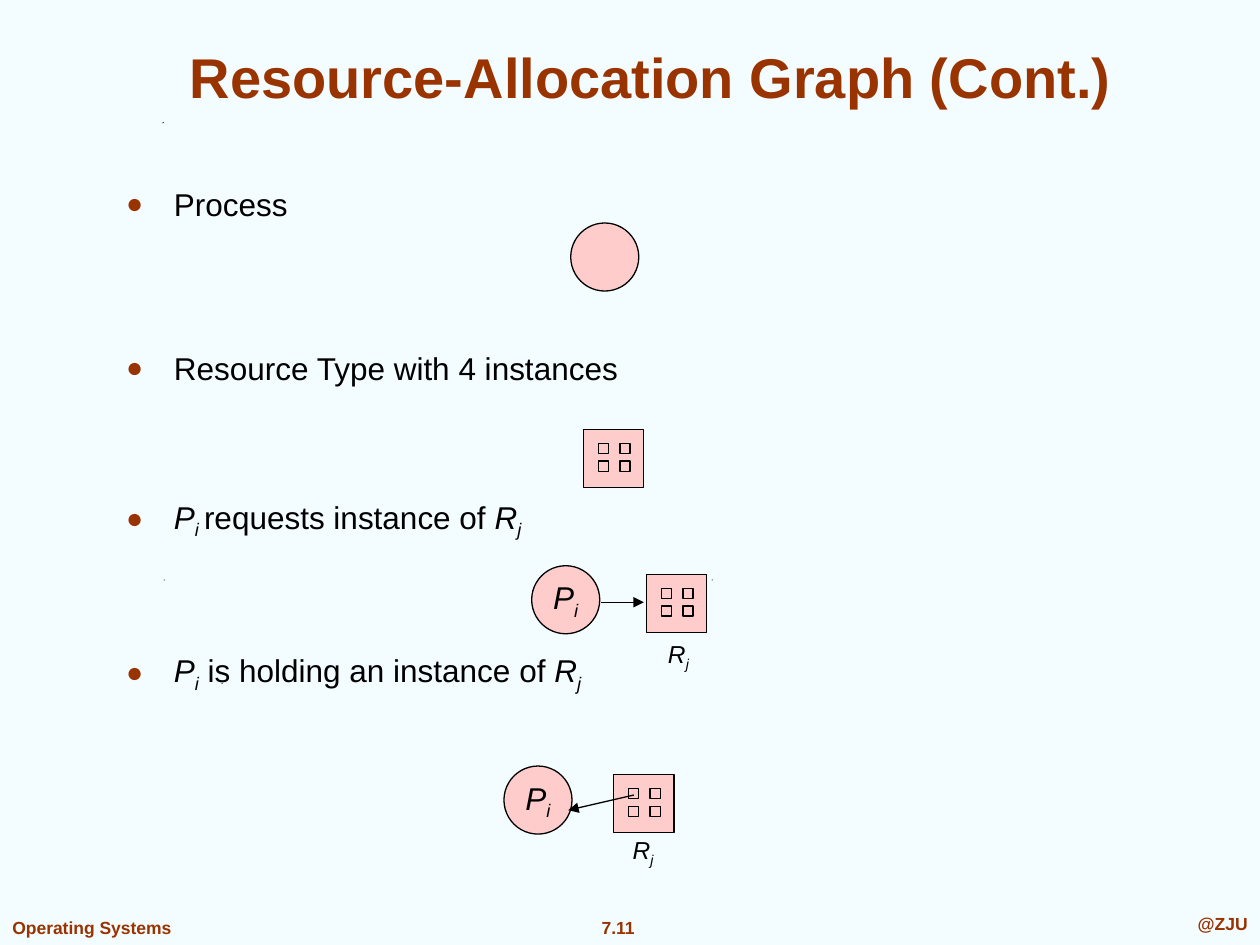
"""Build the resource-allocation graph legend slide."""
import pptx
import pptx.util
import pptx.dml.color
import pptx.enum.shapes
import pptx.enum.text
import pptx.oxml.ns
import lxml.etree

Inches, Pt = pptx.util.Inches, pptx.util.Pt
SHAPE = pptx.enum.shapes.MSO_SHAPE
ALIGN = pptx.enum.text.PP_ALIGN
ANCHOR = pptx.enum.text.MSO_ANCHOR
COLORS = {"background": "F3FCFF", "accent": "993300", "node": "FFCCCC", "ink": "000000"}
FONT = "Arial"
PROCESS = [("P", "italic"), ("i", "sub")]
RESOURCE = [("R", "italic"), ("j", "sub")]


def rgb(name):
    return pptx.dml.color.RGBColor.from_string(COLORS[name])


def add_xml(parent, tag, **attrs):
    return lxml.etree.SubElement(parent, pptx.oxml.ns.qn(tag), attrs)


class SlideBuilder:
    """Hold the style and the current slide, and add elements to it."""

    def __init__(self, prs):
        self.s = prs.slides.add_slide(prs.slide_layouts[1])
        fill = self.s.background.fill
        fill.solid()
        fill.fore_color.rgb = rgb("background")

    def runs(self, p, parts, size, color="ink", bold=False):
        for text, style in parts:
            r = p.add_run()
            r.text = text
            r.font.name, r.font.size = FONT, Pt(size)
            r.font.bold, r.font.italic = bold, style in ("italic", "sub")
            r.font.color.rgb = rgb(color)
            if style == "sub":
                r._r.get_or_add_rPr().set("baseline", "-25000")

    def place(self, sp, x, y, w, h):
        sp.left, sp.top, sp.width, sp.height = map(Inches, (x, y, w, h))
        sp.text_frame.auto_size = pptx.enum.text.MSO_AUTO_SIZE.NONE

    def title(self, text, *box):
        sp = self.s.shapes.title
        self.place(sp, *box)
        sp.text_frame.vertical_anchor = ANCHOR.BOTTOM
        p = sp.text_frame.paragraphs[0]
        p.alignment = ALIGN.CENTER
        self.runs(p, [(text, "")], 32, "accent", True)

    def bullets(self, items, *box):
        sp = self.s.placeholders[1]
        self.place(sp, *box)
        tf = sp.text_frame
        for i, (gap, parts) in enumerate(items):
            p = tf.add_paragraph() if i else tf.paragraphs[0]
            p.space_before = Pt(gap)
            pPr = p._p.get_or_add_pPr()
            pPr.set("marL", str(Inches(0.38)))
            pPr.set("indent", str(Inches(-0.38)))
            add_xml(add_xml(pPr, "a:buClr"), "a:srgbClr", val=COLORS["accent"])
            add_xml(pPr, "a:buSzPct", val="90000")
            add_xml(pPr, "a:buFont", typeface=FONT)
            add_xml(pPr, "a:buChar", char="●")
            self.runs(p, parts, 18)

    def label(self, parts, x, y, w, h, size, align=ALIGN.CENTER, wrap=False, **style):
        sp = self.s.shapes.add_textbox(Inches(x), Inches(y), Inches(w), Inches(h))
        sp.text_frame.word_wrap = wrap
        p = sp.text_frame.paragraphs[0]
        p.alignment = align
        self.runs(p, parts, size, **style)

    def node(self, shapes, kind, x, y, w, h):
        sp = shapes.add_shape(kind, Inches(x), Inches(y), Inches(w), Inches(h))
        sp.shadow.inherit = False
        sp.fill.solid()
        sp.fill.fore_color.rgb = rgb("node")
        sp.line.color.rgb = rgb("ink")
        sp.line.width = Pt(0.75)
        return sp

    def process(self, x, y, parts=()):
        tf = self.node(self.s.shapes, SHAPE.OVAL, x, y, 0.54, 0.54).text_frame
        tf.word_wrap = False
        tf.vertical_anchor = ANCHOR.MIDDLE
        tf.paragraphs[0].alignment = ALIGN.CENTER
        self.runs(tf.paragraphs[0], parts, 18)

    def resource(self, x, y):
        shapes = self.s.shapes.add_group_shape().shapes
        self.node(shapes, SHAPE.RECTANGLE, x, y, 0.48, 0.46)
        for row in range(2):
            for col in range(2):
                self.node(shapes, SHAPE.RECTANGLE, x + 0.12 + 0.17 * col,
                          y + 0.11 + 0.14 * row, 0.08, 0.08)

    def arrow(self, x1, y1, x2, y2):
        sp = self.s.shapes.add_connector(pptx.enum.shapes.MSO_CONNECTOR.STRAIGHT,
                                         Inches(x1), Inches(y1), Inches(x2), Inches(y2))
        sp.line.color.rgb = rgb("ink")
        sp.line.width = Pt(0.75)
        add_xml(sp.line._get_or_add_ln(), "a:tailEnd", type="triangle")
        add_xml(sp._element.spPr, "a:effectLst")

    def speck(self, x, y):
        fb = self.s.shapes.build_freeform(Inches(x), Inches(y + 0.01))
        fb.add_line_segments([(Inches(x + 0.01), Inches(y)),
                              (Inches(x), Inches(y))], close=True)
        sp = fb.convert_to_shape()
        sp.shadow.inherit = False
        sp.fill.solid()
        sp.fill.fore_color.rgb = rgb("ink")
        sp.line.fill.background()


def main():
    prs = pptx.Presentation()
    prs.slide_width, prs.slide_height = Inches(10), Inches(7.5)
    b = SlideBuilder(prs)
    for x, y in ((1.76, 5.42), (1.3, 4.6), (5.65, 4.6), (1.29, 0.97)):
        b.speck(x, y)
    for text, x, y, w, align, wrap in (
            ("Operating Systems", 0, 7.23, 1.47, ALIGN.LEFT, False),
            ("7.11", 4.66, 7.23, 0.49, ALIGN.CENTER, False),
            ("@ZJU", 7.1, 7.2, 2.9, ALIGN.RIGHT, True)):
        b.label([(text, "")], x, y, w, 0.27, 10, align, wrap, color="accent", bold=True)
    b.title("Resource-Allocation Graph (Cont.)", 0.75, 0.25, 8.83, 0.67)
    b.bullets([
        (0, [("Process", "")]),
        (72, [("Resource Type with 4 instances", "")]),
        (63.3, [("P", "italic"), ("i ", "sub"), ("requests instance of ", ""), *RESOURCE]),
        (63.3, [*PROCESS, (" is holding an instance of ", ""), *RESOURCE]),
    ], 0.9, 1.42, 8.04, 4.9)
    b.process(4.53, 1.77)
    b.process(4.22, 4.49, PROCESS)
    b.process(4, 6.08, PROCESS)
    for x, y in ((4.63, 3.41), (5.13, 4.56), (4.87, 6.15)):
        b.resource(x, y)
    b.arrow(4.77, 4.78, 5.11, 4.78)
    b.arrow(5.03, 6.31, 4.51, 6.43)
    for x, y in ((5.2, 5.02), (4.92, 6.58)):
        b.label(RESOURCE, x, y, 0.37, 0.33, 14)
    prs.save("out.pptx")


if __name__ == "__main__":
    main()
